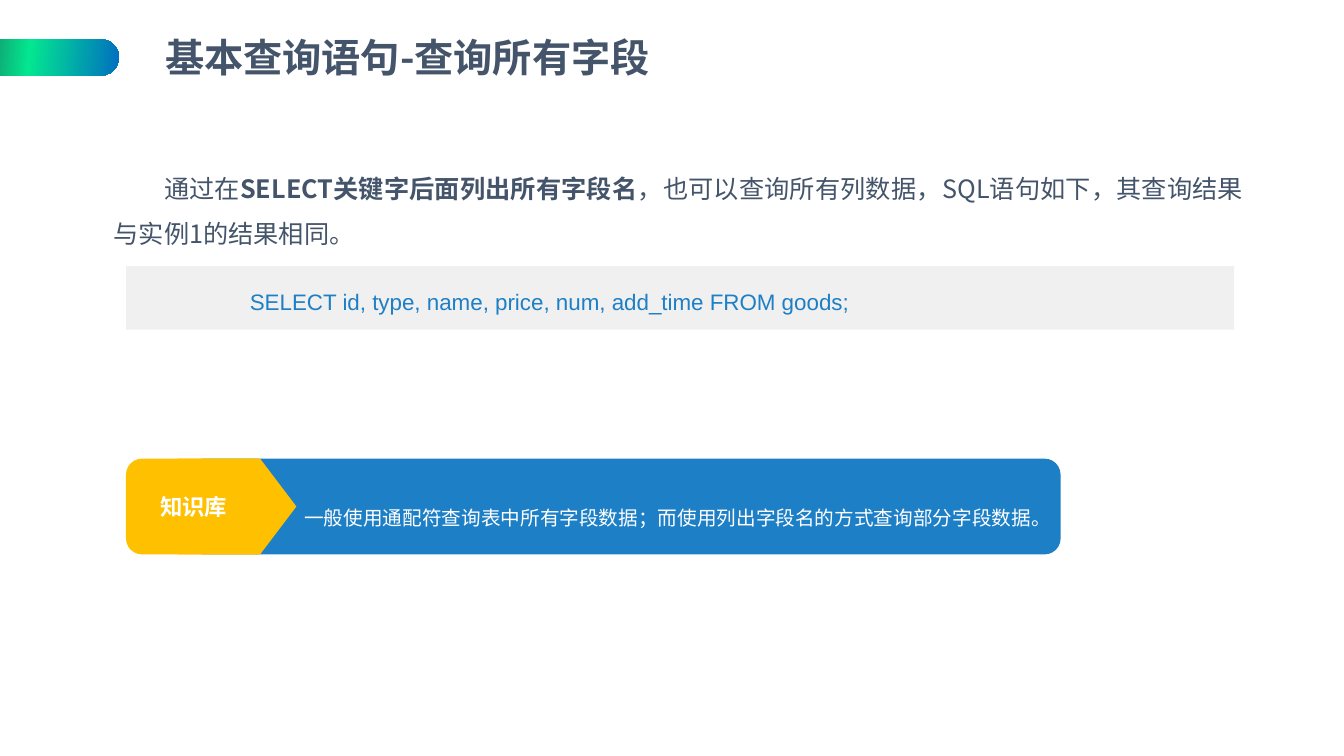
from copy import deepcopy
from dataclasses import dataclass

from pptx import Presentation, util as u
from pptx.dml.color import RGBColor
from pptx.enum import shapes, text
from pptx.oxml import ns


@dataclass(frozen=True)
class Theme:
    ink: str = "44546A"
    blue: str = "1D7FC6"
    amber: str = "FFC000"
    panel: str = "F0F0F0"
    white: str = "FFFFFF"
    bar: tuple = ((0, "272D3D"), (0.52, "03E790"), (1, "0070C0"))
    cjk: str = "Noto Sans CJK SC"
    latin: str = "Arial"
    title: int = 28
    body: int = 18
    code: int = 16
    tip: int = 14


T = Theme()
SHAPE = shapes.MSO_SHAPE


def inches(*values):
    return [u.Inches(v) for v in values]


def paint(sp, color):
    sp.shadow.inherit = False
    sp.line.fill.background()
    sp.fill.solid()
    sp.fill.fore_color.rgb = RGBColor.from_string(color)
    return sp


def add_block(s, kind, box, color):
    return paint(s.shapes.add_shape(kind, *inches(*box)), color)


def style_run(r, size, color, font=T.cjk, bold=False):
    r.font.size = u.Pt(size)
    r.font.name = font
    r.font.bold = bold
    r.font.color.rgb = RGBColor.from_string(color)
    ea = r.font._element.makeelement(ns.qn("a:ea"), {"typeface": font})
    r.font._element.find(ns.qn("a:latin")).addnext(ea)


def add_text(s, box, parts, size, color, spacing, font=T.cjk, indent=0):
    """Place one paragraph made of (wording, bold) parts."""
    tf = s.shapes.add_textbox(*inches(*box)).text_frame
    tf.word_wrap = True
    p = tf.paragraphs[0]
    p.line_spacing = spacing
    if indent:
        p.alignment = text.PP_ALIGN.JUSTIFY
        p._p.get_or_add_pPr().set("indent", str(u.Inches(indent)))
    for wording, bold in parts:
        r = p.add_run()
        r.text = wording
        style_run(r, size, color, font, bold)
    return tf


def add_header(s, x, y):
    # Gradient bar bleeding off the left edge
    sp = add_block(s, SHAPE.ROUNDED_RECTANGLE, (x - 0.68, y + 0.06, 1.86, 0.36), T.white)
    sp.adjustments[0] = 0.5
    sp.fill.gradient()
    sp.fill.gradient_angle = 355
    stops = sp._element.spPr.find(ns.qn("a:gradFill")).find(ns.qn("a:gsLst"))
    stops.insert(1, deepcopy(stops[0]))
    for stop, (position, color) in zip(sp.fill.gradient_stops, T.bar):
        stop.position = position
        stop.color.rgb = RGBColor.from_string(color)
    # Title
    tf = add_text(s, (x + 1.54, y, 9.17, 0.52), [("基本查询语句-查询所有字段", True)],
                  T.title, T.ink, 0.9)
    tf.vertical_anchor = text.MSO_ANCHOR.MIDDLE


def add_explanation(s, x, y, w):
    parts = [("通过在", False),
             ("SELECT关键字后面列出所有字段名", True),
             ("，也可以查询所有列数据，SQL语句如下，其查询结果与实例1的结果相同。", False)]
    add_text(s, (x, y, w, 0.96), parts, T.body, T.ink, 1.5, indent=0.5)


def add_code(s, x, y, w, h):
    add_block(s, SHAPE.RECTANGLE, (x, y, w, h), T.panel)
    add_text(s, (x + 1.13, y + 0.09, 7.62, 0.41),
             [("SELECT id, type, name, price, num, add_time FROM goods;", False)],
             T.code, T.blue, u.Pt(25), T.latin)


def add_tip(s, x, y, w, h):
    # Blue panel
    add_block(s, SHAPE.ROUNDED_RECTANGLE, (x + 0.61, y, w - 0.61, h), T.blue)
    # Arrow pointing at the advice
    outline = [(0.51, 0), (1.33, 0), (1.69, h / 2), (1.33, h), (0.51, h)]
    points = [inches(x + dx, y + dy) for dx, dy in outline]
    fb = s.shapes.build_freeform(*points[0])
    fb.add_line_segments(points[1:], close=True)
    paint(fb.convert_to_shape(), T.amber)
    # Label, turned so that its rounded corners face left
    label_w = 1.3
    shift = (label_w - h) / 2
    sp = add_block(s, SHAPE.ROUND_2_SAME_RECTANGLE, (x + shift, y - shift, h, label_w), T.amber)
    sp.rotation = 270
    tf = sp.text_frame
    tf._txBody.bodyPr.set("vert", "vert")
    tf.vertical_anchor = text.MSO_ANCHOR.MIDDLE
    p = tf.paragraphs[0]
    p.text = "知识库"
    p.alignment = text.PP_ALIGN.CENTER
    style_run(p.runs[0], T.code, T.white, bold=True)
    # Advice
    add_text(s, (x + 1.17, y + 0.26, 8.61, 0.44),
             [("一般使用通配符查询表中所有字段数据；而使用列出字段名的方式查询部分字段数据。", False)],
             T.tip, T.white, u.Pt(28), indent=0.5)


def main():
    prs = Presentation()
    prs.slide_width, prs.slide_height = inches(13.33, 7.5)
    s = prs.slides.add_slide(prs.slide_layouts[6])
    add_header(s, 0, 0.33)
    add_explanation(s, 1.03, 1.52, 11.4)
    add_code(s, 1.25, 2.64, 10.99, 0.63)
    add_tip(s, 1.25, 4.55, 9.27, 0.95)
    prs.save("out.pptx")


if __name__ == "__main__":
    main()
